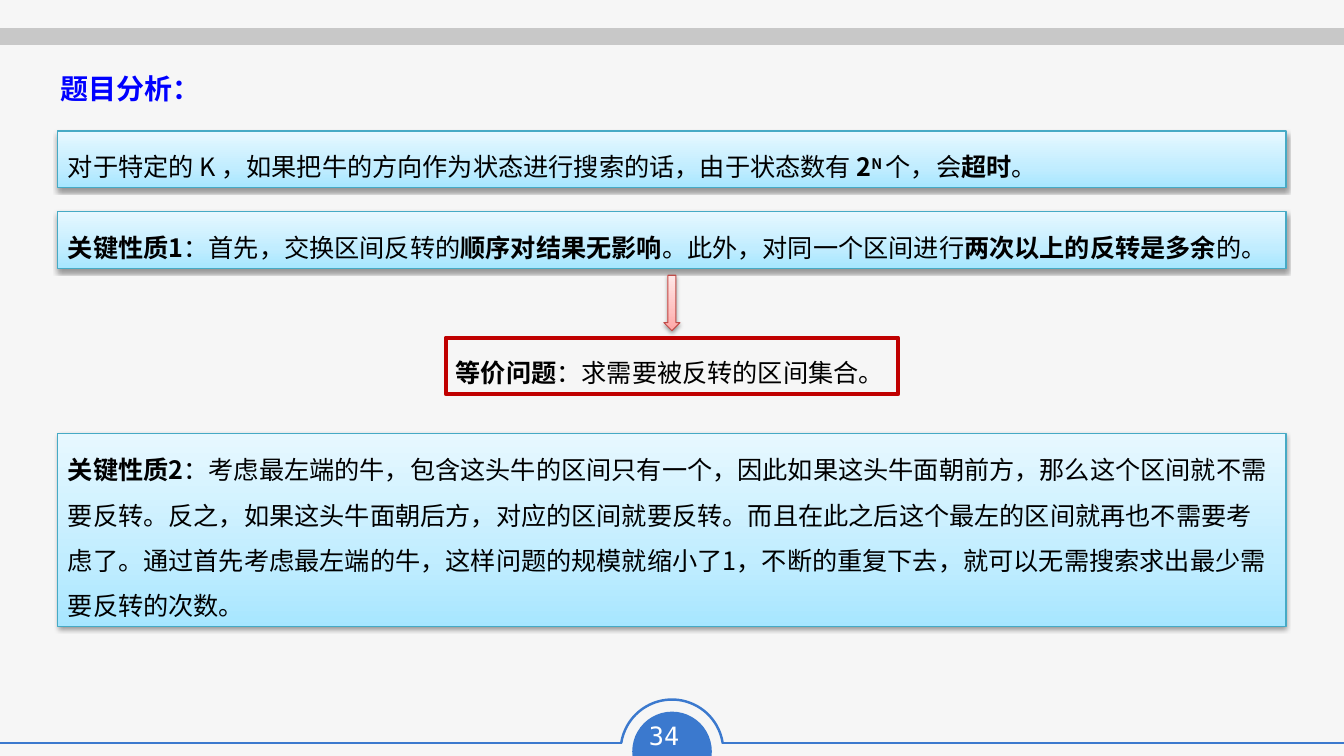
from lxml import etree
from pptx import Presentation
from pptx.dml.color import RGBColor
from pptx.enum import shapes, text
from pptx.oxml import parse_xml
from pptx.oxml.ns import nsdecls, qn
from pptx.util import Pt

W, H = 960.5, 540
CENTER = W / 2
FONT = "Noto Sans CJK SC"
BLUE, GRAY = "3B79CE", "C8C8C8"
CYAN_STOPS = ((0, "A7E6FF"), (35, "C1EDFF"), (100, "E7F8FF"))
RED_STOPS = ((0, "FFA6A5"), (35, "FFC0BF"), (100, "FFE7E7"))
SHAPE = shapes.MSO_SHAPE

STATE_COUNT = [("对于特定的 K ，如果把牛的方向作为状态进行搜索的话，由于状态数有 ", ""),
               ("2", "b"), ("N ", "b^"), ("个，会", ""), ("超时", "b"), ("。", "")]
PROPERTY_1 = [("关键性质1", "b"), ("：首先，交换区间反转的", ""),
              ("顺序对结果无影响", "b"), ("。此外，对同一个区间进行", ""),
              ("两次以上的反转是多余", "b"), ("的。", "")]
EQUIVALENT = [("等价问题", "b"), ("：求需要被反转的区间集合。", "")]
PROPERTY_2 = [("关键性质2", "b"),
              ("：考虑最左端的牛，包含这头牛的区间只有一个，因此如果这头牛面朝前方，"
               "那么这个区间就不需要反转。反之，如果这头牛面朝后方，对应的区间就要反转。"
               "而且在此之后这个最左的区间就再也不需要考虑了。通过首先考虑最左端的牛，"
               "这样问题的规模就缩小了1，不断的重复下去，就可以无需搜索求出最少需要反转的次数。", "")]


def rgb(color):
    return RGBColor.from_string(color)


def style_run(r, size, color, bold=False, font=FONT):
    r.font.size, r.font.bold, r.font.name = Pt(size), bold, font
    r.font.color.rgb = rgb(color)
    ea = etree.SubElement(r.font._element, qn("a:ea"))
    ea.set("typeface", font)


def add_shape(s, kind, box, fill=None, line=None, width=0.75):
    sp = s.shapes.add_shape(kind, *map(Pt, box))
    sp.shadow.inherit = False
    if fill:
        sp.fill.solid()
        sp.fill.fore_color.rgb = rgb(fill)
    else:
        sp.fill.background()
    if line:
        sp.line.color.rgb = rgb(line)
        sp.line.width = Pt(width)
    else:
        sp.line.fill.background()
    return sp


def add_line(s, x1, x2, y, color, width):
    cx = s.shapes.add_connector(shapes.MSO_CONNECTOR.STRAIGHT, Pt(x1), Pt(y), Pt(x2), Pt(y))
    cx.line.color.rgb = rgb(color)
    cx.line.width = Pt(width)
    etree.SubElement(cx._element.spPr, qn("a:effectLst"))


def add_glow(sp, stops):
    """Upward gradient and a soft shadow below."""
    gs = "".join(f'<a:gs pos="{pos * 1000}"><a:srgbClr val="{color}"/></a:gs>'
                 for pos, color in stops)
    spPr = sp._element.spPr
    spPr.replace(spPr.find(qn("a:noFill")), parse_xml(
        f'<a:gradFill {nsdecls("a")} rotWithShape="1"><a:gsLst>{gs}</a:gsLst>'
        '<a:lin ang="16200000" scaled="0"/></a:gradFill>'))
    spPr.find(qn("a:effectLst")).append(parse_xml(
        f'<a:outerShdw {nsdecls("a")} blurRad="{Pt(3.1)}" dist="{Pt(1.6)}" dir="5400000" '
        'rotWithShape="0"><a:srgbClr val="000000"><a:alpha val="38000"/></a:srgbClr></a:outerShdw>'))


def write_statement(sp, runs, anchor, wrap=True):
    tf = sp.text_frame
    tf.word_wrap = wrap
    tf.auto_size = text.MSO_AUTO_SIZE.SHAPE_TO_FIT_TEXT
    tf.vertical_anchor = anchor
    p = tf.paragraphs[0]
    p.alignment = text.PP_ALIGN.LEFT
    p.line_spacing = 1.5
    for words, style in runs:
        r = p.add_run()
        r.text = words
        style_run(r, 18, "000000", "b" in style)
        if "^" in style:
            r.font._element.set("baseline", "30000")


def statement_panel(s, box, runs):
    sp = add_shape(s, SHAPE.RECTANGLE, box, line="46AAC5")
    add_glow(sp, CYAN_STOPS)
    write_statement(sp, runs, text.MSO_ANCHOR.MIDDLE)


def slide_frame(s, width, height, number):
    # Top band and bottom rule, broken around the page badge
    mid = width / 2
    add_line(s, 0, width, 26, GRAY, 12)
    for x1, x2 in ((0, mid - 36), (mid + 36, width)):
        add_line(s, x1, x2, height - 9.4, BLUE, 1.77)
    # Page badge
    disc = add_shape(s, SHAPE.CHORD, (mid - 28.45, height - 31.7, 56.9, 56.9), fill=BLUE)
    disc.rotation = 112.4
    disc.adjustments[0], disc.adjustments[1] = 35.77, 153.29
    ring = add_shape(s, SHAPE.ARC, (mid - 36.7, height - 40.3, 73.4, 73.4), line=BLUE, width=1.77)
    ring.adjustments[0], ring.adjustments[1] = 113.17, 210.98
    tb = s.shapes.add_textbox(Pt(mid - 31.5), Pt(height - 28.8), Pt(62.6), Pt(28.8))
    tf = tb.text_frame
    tf.word_wrap = True
    tf.text = f"{number} "
    p = tf.paragraphs[0]
    p.alignment = text.PP_ALIGN.CENTER
    style_run(p.runs[0], 18, "FFFFFF", font="DejaVu Sans Mono")


def heading(s, box, words):
    sp = s.shapes.title
    sp.left, sp.top, sp.width, sp.height = map(Pt, box)
    tf = sp.text_frame
    tf.text = words
    tf.word_wrap = False
    tf.auto_size = text.MSO_AUTO_SIZE.SHAPE_TO_FIT_TEXT
    tf.vertical_anchor = text.MSO_ANCHOR.TOP
    p = tf.paragraphs[0]
    p.alignment = text.PP_ALIGN.LEFT
    style_run(p.runs[0], 20, "0000FF", True)


def analysis(s, left, top, width):
    row = 40.3
    # Observations
    for i, runs in enumerate((STATE_COUNT, PROPERTY_1)):
        statement_panel(s, (left, top + i * 57.6, width, row), runs)
    # Arrow to the equivalent problem
    mid = left + width / 2
    arrow = add_shape(s, SHAPE.DOWN_ARROW, (mid - 5.75, top + 103, 11.5, 39.6), line="BF4C48")
    add_glow(arrow, RED_STOPS)
    result = add_shape(s, SHAPE.RECTANGLE, (mid - 161.6, top + 147.6, 323.2, row),
                       line="C00000", width=3)
    write_statement(result, EQUIVALENT, text.MSO_ANCHOR.TOP, wrap=False)
    # Greedy property
    statement_panel(s, (left, top + 216, width, 138.2), PROPERTY_2)


def main():
    prs = Presentation()
    prs.slide_width, prs.slide_height = Pt(W), Pt(H)
    s = prs.slides.add_slide(prs.slide_layouts[5])
    s.background.fill.solid()
    s.background.fill.fore_color.rgb = rgb("F6F6F6")
    slide_frame(s, W, H, 34)
    heading(s, (36, 47.5, 115.2, 31.7), "题目分析：")
    analysis(s, CENTER - 438.85, 93.6, 877.7)
    prs.save("out.pptx")


if __name__ == "__main__":
    main()
